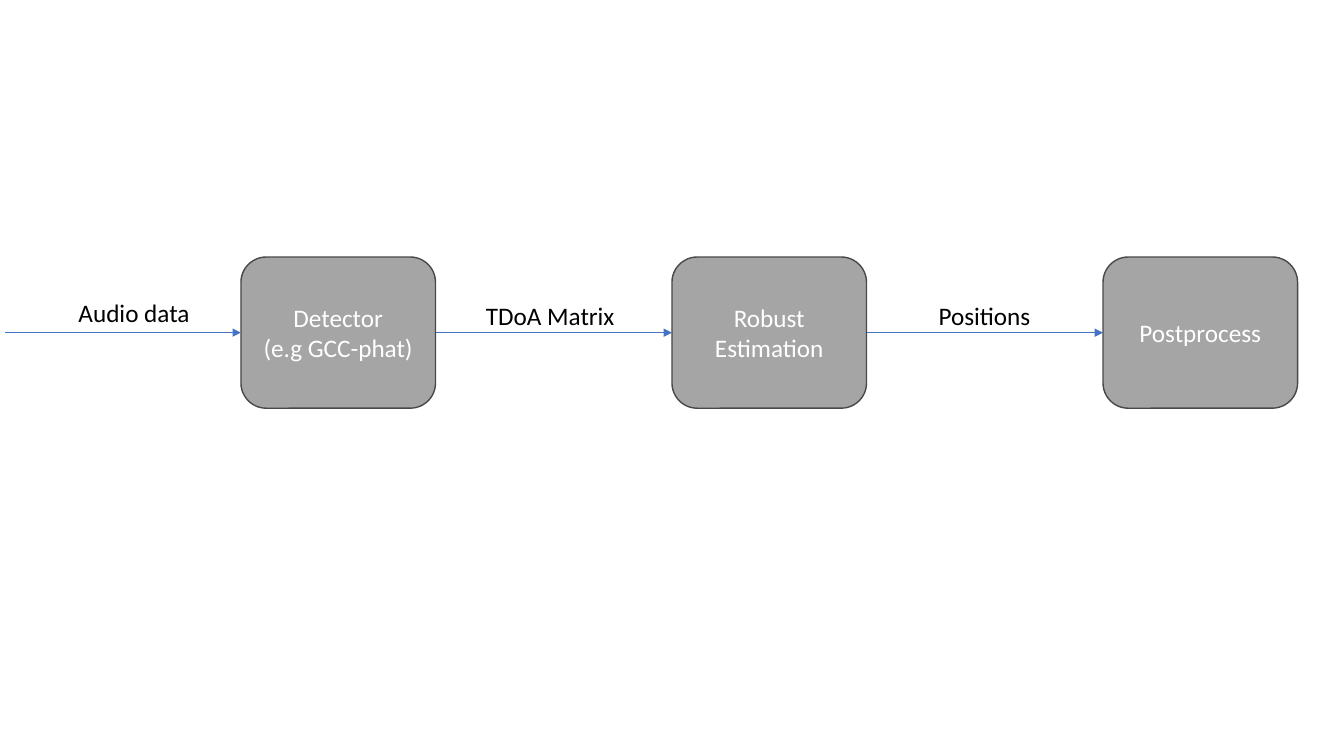
from lxml.etree import SubElement
from pptx import Presentation
from pptx.dml.color import RGBColor
from pptx.enum.shapes import MSO_CONNECTOR as Connector, MSO_SHAPE as Shape
from pptx.enum.text import MSO_ANCHOR as Anchor, MSO_AUTO_SIZE as AutoSize, PP_ALIGN as Align
from pptx.oxml.ns import qn
from pptx.util import Inches, Pt

WHITE = RGBColor(0xFF, 0xFF, 0xFF)
BLACK = RGBColor(0x00, 0x00, 0x00)
GREY = RGBColor(0xA5, 0xA5, 0xA5)
DARK_GREY = RGBColor(0x48, 0x48, 0x48)
BLUE = RGBColor(0x44, 0x72, 0xC4)

# Pipeline geometry in inches
FIRST_LEFT, STAGE_TOP = 2.39, 2.55
STAGE_WIDTH, STAGE_HEIGHT = 1.93, 1.5
ARROW_LENGTH = 2.345
ARROW_Y = STAGE_TOP + STAGE_HEIGHT / 2

# Each stage: its lines, then the incoming label with its left, top and width
STAGES = [
    (["Detector", "(e.g GCC-phat)"], ("Audio data", 0.68, 2.9, 1.32)),
    (["Robust Estimation"], ("TDoA Matrix", 4.72, 2.93, 1.55)),
    (["Postprocess"], ("Positions", 9.21, 2.93, 1.12)),
]


def write_lines(frame, lines, color, align):
    frame.text = "\n".join(lines)
    for para in frame.paragraphs:
        para.alignment = align
        para.font.name = "Calibri"
        para.font.size = Pt(18)
        para.font.color.rgb = color


def add_stage(page, left, lines):
    box = page.shapes.add_shape(Shape.ROUNDED_RECTANGLE, Inches(left), Inches(STAGE_TOP),
                                Inches(STAGE_WIDTH), Inches(STAGE_HEIGHT))
    box.shadow.inherit = False
    box.fill.solid()
    box.fill.fore_color.rgb = GREY
    box.line.color.rgb = DARK_GREY
    box.line.width = Pt(1)
    box.text_frame.word_wrap = True
    box.text_frame.vertical_anchor = Anchor.MIDDLE
    write_lines(box.text_frame, lines, WHITE, Align.CENTER)


def add_arrow(page, start, end):
    arrow = page.shapes.add_connector(Connector.STRAIGHT, Inches(start), Inches(ARROW_Y),
                                      Inches(end), Inches(ARROW_Y))
    arrow.line.color.rgb = BLUE
    arrow.line.width = Pt(0.5)
    SubElement(arrow.line._get_or_add_ln(), qn("a:tailEnd"), type="triangle")
    SubElement(arrow._element.spPr, qn("a:effectLst"))


def add_label(page, text, left, top, width):
    label = page.shapes.add_textbox(Inches(left), Inches(top), Inches(width), Inches(0.4))
    label.text_frame.word_wrap = False
    label.text_frame.auto_size = AutoSize.SHAPE_TO_FIT_TEXT
    write_lines(label.text_frame, [text], BLACK, Align.LEFT)


def main():
    deck = Presentation()
    deck.slide_width, deck.slide_height = Inches(13.33), Inches(7.5)
    page = deck.slides.add_slide(deck.slide_layouts[6])

    # Each stage with its incoming arrow and label
    for index, (lines, label) in enumerate(STAGES):
        left = FIRST_LEFT + index * (STAGE_WIDTH + ARROW_LENGTH)
        add_stage(page, left, lines)
        add_arrow(page, left - ARROW_LENGTH, left)
        add_label(page, *label)

    deck.save("out.pptx")


if __name__ == "__main__":
    main()
